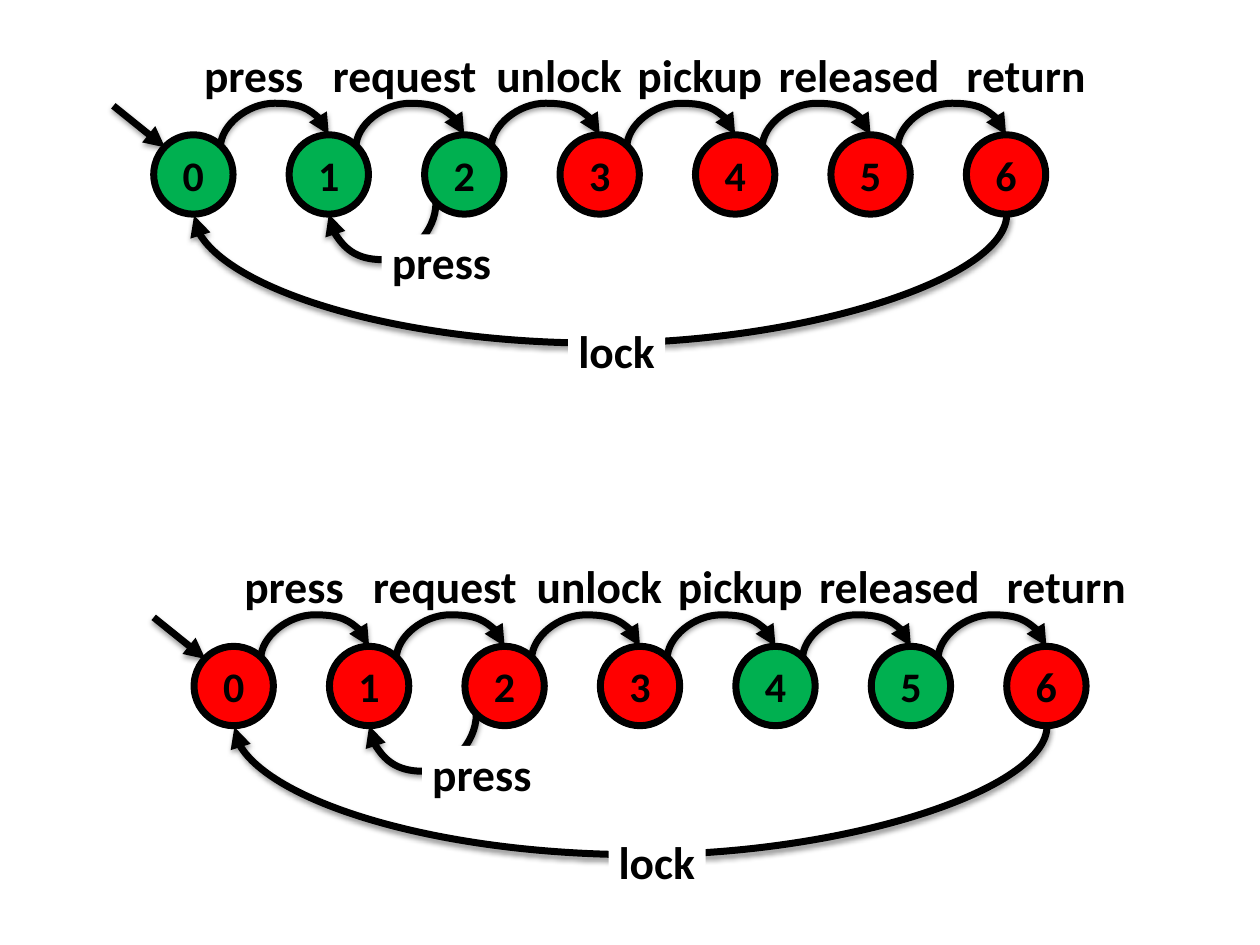
from lxml import etree
from pptx import Presentation
from pptx.dml import color
from pptx.enum import shapes, text
from pptx.oxml import ns
from pptx.util import Inches, Pt

STEP = 1.075
SIZE = 0.63
GREEN, RED = "00B050", "FF0000"
TRANSITIONS = [
    ("press", 0.32, 0.96),
    ("request", 1.34, 1.31),
    ("unlock", 2.64, 1.17),
    ("pickup", 3.76, 1.16),
    ("released", 4.88, 1.45),
    ("return", 6.37, 1.11),
]


def rgb(value):
    return color.RGBColor.from_string(value)


def add_node(parent, tag, **attrs):
    return etree.SubElement(parent, ns.qn(tag), {k: str(v) for k, v in attrs.items()})


def write(tf, content, size=26, align=None, font="Calibri", ink="000000"):
    p = tf.paragraphs[0]
    if align is not None:
        p.alignment = align
    r = p.add_run()
    r.text = content
    r.font.name = font
    r.font.size = Pt(size)
    r.font.bold = True
    r.font.color.rgb = rgb(ink)


class Diagram:
    ink = "000000"
    paper = "FFFFFF"
    weight = Pt(4)

    def __init__(self, slide):
        self.slide = slide

    def start(self, left, top):
        self.left, self.top = left, top
        self.group = self.slide.shapes.add_group_shape()

    def place(self, x, y):
        return Inches(self.left + x), Inches(self.top + y)

    def label(self, content, x, y, width):
        sp = self.group.shapes.add_textbox(*self.place(x, y), Inches(width), Inches(0.52))
        sp.fill.solid()
        sp.fill.fore_color.rgb = rgb(self.paper)
        tf = sp.text_frame
        tf.word_wrap = False
        tf.auto_size = text.MSO_AUTO_SIZE.SHAPE_TO_FIT_TEXT
        tf.margin_left = tf.margin_right = tf.margin_bottom = Inches(0.08)
        tf.margin_top = 0
        write(tf, content)

    def state(self, content, x, fill):
        sp = self.group.shapes.add_shape(
            shapes.MSO_SHAPE.OVAL, *self.place(x, 0), Inches(SIZE), Inches(SIZE))
        sp.shadow.inherit = False
        sp.fill.solid()
        sp.fill.fore_color.rgb = rgb(fill)
        sp.line.color.rgb = rgb(self.ink)
        sp.line.width = self.weight
        sp.text_frame.vertical_anchor = text.MSO_ANCHOR.MIDDLE
        write(sp.text_frame, content, size=24, align=text.PP_ALIGN.CENTER)

    def arrow(self, begin, end, kind=shapes.MSO_CONNECTOR.STRAIGHT):
        sp = self.group.shapes.add_connector(kind, *self.place(*begin), *self.place(*end))
        sp.line.color.rgb = rgb(self.ink)
        sp.line.width = self.weight
        sppr = sp._element.spPr
        add_node(sppr.find(ns.qn("a:ln")), "a:tailEnd", type="triangle")
        shadow = add_node(add_node(sppr, "a:effectLst"), "a:outerShdw",
                          blurRad=Pt(3.1), dist=Pt(1.6), dir=5400000, rotWithShape=0)
        add_node(add_node(shadow, "a:srgbClr", val=self.ink), "a:alpha", val=38000)
        return sppr

    def curve(self, begin, end, depth):
        (x1, y1), (x2, y2) = begin, end
        dx, dy = x2 - x1, y2 - y1
        mx, my = (x1 + x2) / 2, (y1 + y2) / 2
        sppr = self.arrow((mx - dy / 2, my + dx / 2), (mx + dy / 2, my - dx / 2),
                          shapes.MSO_CONNECTOR.CURVE)
        sppr.find(ns.qn("a:xfrm")).set("rot", "5400000")
        geom = sppr.find(ns.qn("a:prstGeom"))
        guides = geom.find(ns.qn("a:avLst"))
        if guides is None:
            guides = add_node(geom, "a:avLst")
        add_node(guides, "a:gd", name="adj1", fmla=f"val {round(depth / dy * 100000)}")

    def machine(self, left, top, fills):
        self.start(left, top)
        for content, x, width in TRANSITIONS:
            self.label(content, x, -0.7, width)
        for i in range(len(TRANSITIONS)):
            x = i * STEP
            self.curve((x + 0.53, 0.1), (x + 1.39, 0), -0.35)
        self.curve((2.24, 0.54), (1.39, 0.63), 0.45)
        self.curve((6.77, 0.63), (0.32, 0.64), 1.04)
        self.label("lock", 3.29, 1.49, 0.77)
        self.arrow((-0.32, -0.23), (0.09, 0.1))
        self.label("press", 1.81, 0.79, 0.96)
        for i, fill in enumerate(fills):
            self.state(str(i), i * STEP, fill)


prs = Presentation()
prs.slide_width = Inches(10)
prs.slide_height = Inches(7.5)
s = prs.slides.add_slide(prs.slide_layouts[6])
diagram = Diagram(s)
diagram.machine(1.54, 5.13, [RED] * 4 + [GREEN] * 2 + [RED])
diagram.machine(1.22, 1.07, [GREEN] * 3 + [RED] * 4)
prs.save("out.pptx")
